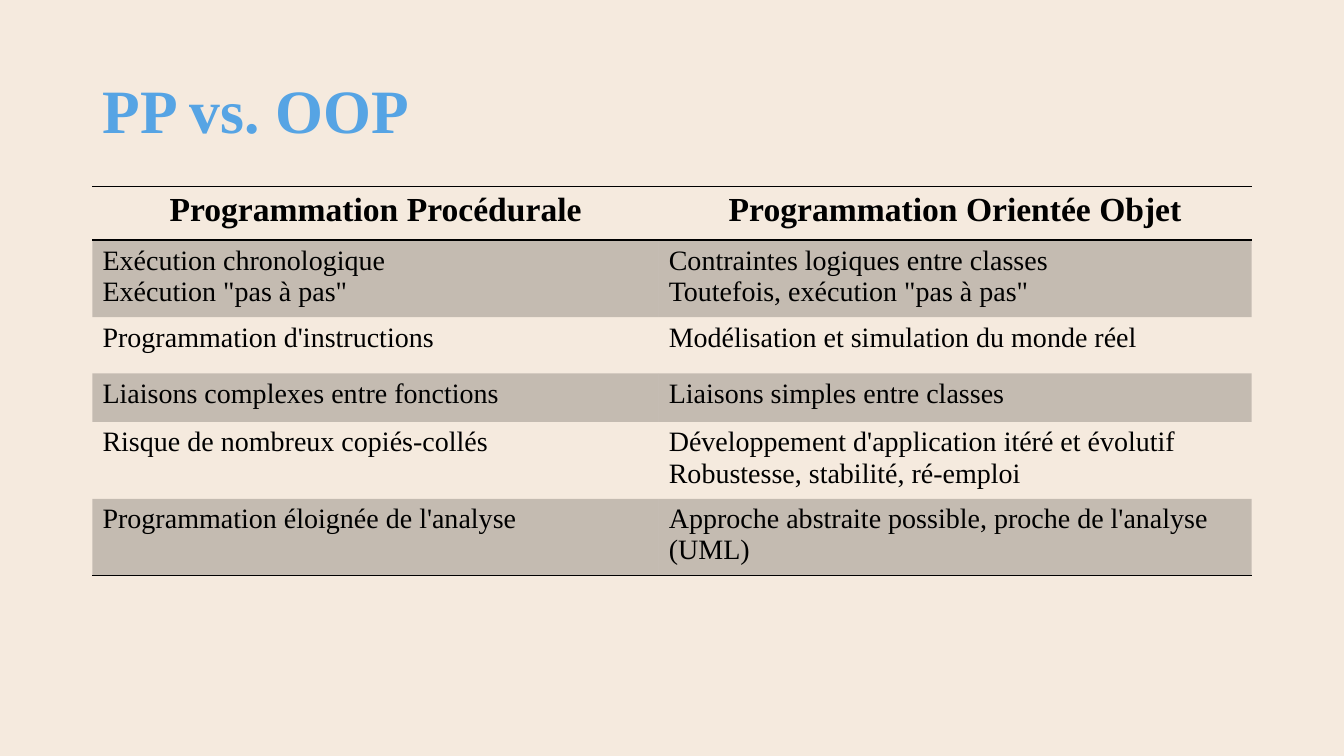
"""Build a slide comparing procedural and object-oriented programming."""
from pptx import Presentation
from pptx.dml.color import RGBColor
from pptx.enum import text
from pptx.oxml import parse_xml
from pptx.oxml.ns import nsdecls, qn
from pptx.util import Cm, Pt

FONT = "Times New Roman"
CREAM = RGBColor(0xF5, 0xEA, 0xDE)
BLUE = RGBColor(0x56, 0xA4, 0xE4)
BLACK = RGBColor(0, 0, 0)
NO_STYLE = "{2D5ABB26-0587-4C30-8999-92F81FD0307C}"

LEFT, WIDTH = Cm(2.33), Cm(29.21)
COLUMN_WIDTHS = (14.27, 14.94)
ROWS = (
    (1.35, "Programmation Procédurale", "Programmation Orientée Objet"),
    (1.94, "Exécution chronologique\nExécution \"pas à pas\"",
     "Contraintes logiques entre classes\nToutefois, exécution \"pas à pas\""),
    (1.42, "Programmation d'instructions", "Modélisation et simulation du monde réel"),
    (1.22, "Liaisons complexes entre fonctions", "Liaisons simples entre classes"),
    (1.94, "Risque de nombreux copiés-collés",
     "Développement d'application itéré et évolutif\nRobustesse, stabilité, ré-emploi"),
    (1.94, "Programmation éloignée de l'analyse",
     "Approche abstraite possible, proche de l'analyse (UML)"),
)


def format_text(text_frame, size, color, bold, alignment):
    for paragraph in text_frame.paragraphs:
        paragraph.alignment = alignment
        for run in paragraph.runs:
            run.font.name = FONT
            run.font.size = Pt(size)
            run.font.bold = bold
            run.font.color.rgb = color


def add_title(slide, wording):
    title = slide.shapes.title
    title.left, title.top, title.width, title.height = LEFT, Cm(1.02), WIDTH, Cm(3.68)
    text_frame = title.text_frame
    text_frame.text = wording
    text_frame.vertical_anchor = text.MSO_ANCHOR.MIDDLE
    text_frame.paragraphs[0].line_spacing = 0.9
    format_text(text_frame, 44, BLUE, True, text.PP_ALIGN.LEFT)


def fill_cell(cell, shaded):
    if not shaded:
        cell.fill.background()
        return
    cell.fill.solid()
    cell.fill.fore_color.rgb = BLACK
    color = cell._tc.tcPr.find(".//" + qn("a:srgbClr"))
    color.append(parse_xml(f'<a:alpha {nsdecls("a")} val="20000"/>'))


def add_borders(cell, sides):
    for position, side in enumerate(sides):
        cell._tc.tcPr.insert(position, parse_xml(
            f'<a:ln{side} {nsdecls("a")} w="{Pt(1)}"><a:solidFill>'
            f'<a:srgbClr val="{BLACK}"/></a:solidFill></a:ln{side}>'))


def add_comparison(slide):
    height = Cm(sum(row[0] for row in ROWS))
    frame = slide.shapes.add_table(len(ROWS), len(COLUMN_WIDTHS), LEFT, Cm(4.7), WIDTH, height)
    table = frame.table
    table.first_row = table.horz_banding = False
    table._tbl.tblPr.find(qn("a:tableStyleId")).text = NO_STYLE
    for column, width in zip(table.columns, COLUMN_WIDTHS):
        column.width = Cm(width)
    for index, (row_height, *wordings) in enumerate(ROWS):
        header = index == 0
        sides = "TB" if header else "B" if index == len(ROWS) - 1 else ""
        alignment = text.PP_ALIGN.CENTER if header else text.PP_ALIGN.LEFT
        table.rows[index].height = Cm(row_height)
        for cell, wording in zip(table.rows[index].cells, wordings):
            cell.text_frame.text = wording
            format_text(cell.text_frame, 24 if header else 20, BLACK, header, alignment)
            fill_cell(cell, index % 2 == 1)
            add_borders(cell, sides)


def main():
    presentation = Presentation()
    presentation.slide_width, presentation.slide_height = Cm(33.87), Cm(19.05)
    slide = presentation.slides.add_slide(presentation.slide_layouts[5])
    slide.background.fill.solid()
    slide.background.fill.fore_color.rgb = CREAM
    add_title(slide, "PP vs. OOP")
    add_comparison(slide)
    presentation.save("out.pptx")


if __name__ == "__main__":
    main()
